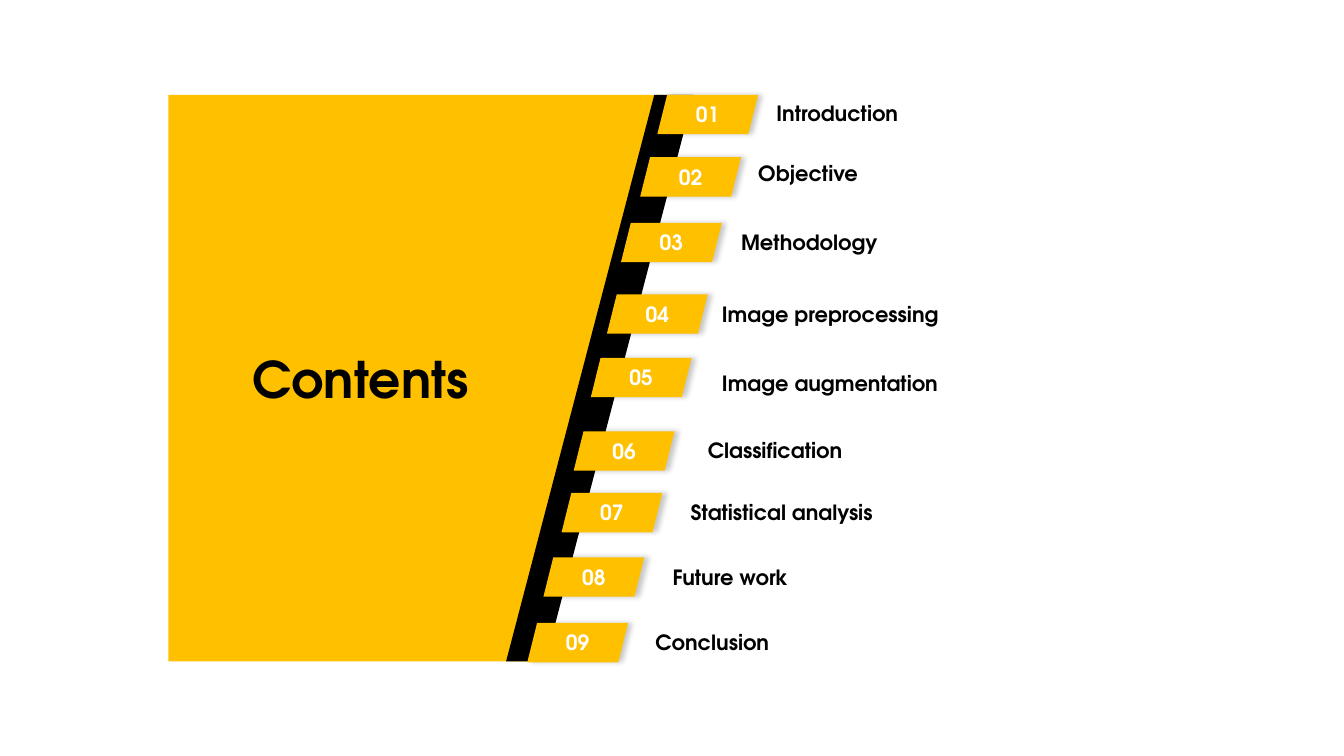
from lxml.etree import SubElement
from pptx import Presentation
from pptx.dml.color import RGBColor
from pptx.enum.shapes import MSO_SHAPE
from pptx.enum.text import MSO_ANCHOR, MSO_AUTO_SIZE as AutoSize, PP_ALIGN
from pptx.oxml.ns import qn
from pptx.util import Inches, Pt

COLORS = {"amber": "FFC000", "black": "000000", "white": "FFFFFF"}
FONT = "TeX Gyre Adventor"
FRAME = {"margin_left": 0, "margin_top": 0, "margin_right": 0, "margin_bottom": 0,
         "word_wrap": True}
SLANT = 1.47
BADGE_SIZE = (1, 0.39)
LABEL_HEIGHT = 0.25

# Topic, badge left and top, label left, top and width
TOPICS = [
    ("Introduction", 6.52, 0.94, 7.7, 1, 3.98),
    ("Objective", 6.35, 1.56, 7.52, 1.59, 4.17),
    ("Methodology", 6.16, 2.21, 7.35, 2.28, 3.83),
    ("Image preprocessing", 6.02, 2.92, 7.16, 2.99, 3.83),
    ("Image augmentation", 5.86, 3.55, 7.16, 3.68, 4.29),
    ("Classification", 5.69, 4.28, 7.02, 4.34, 2.55),
    ("Statistical analysis", 5.57, 4.89, 6.85, 4.96, 2.55),
    ("Future work", 5.39, 5.53, 6.67, 5.6, 2.55),
    ("Conclusion", 5.23, 6.18, 6.5, 6.24, 2.98),
]


def rgb(name):
    return RGBColor.from_string(COLORS[name])


def paint(shape, color):
    shape.fill.solid()
    shape.fill.fore_color.rgb = rgb(color)
    shape.line.fill.background()
    shape.shadow.inherit = False


def write(shape, text, size, color, align, **frame_format):
    frame = shape.text_frame
    for name, value in {**FRAME, **frame_format}.items():
        setattr(frame, name, value)
    paragraph = frame.paragraphs[0]
    paragraph.alignment = align
    paragraph.line_spacing = 1.0
    run = paragraph.add_run()
    run.text = text
    for name, value in {"name": FONT, "size": Pt(size), "bold": True}.items():
        setattr(run.font, name, value)
    run.font.color.rgb = rgb(color)


def add_slanted(slide, box, top_left, bottom_left, color):
    """Fill the box with an outline whose right edge leans by SLANT."""
    left, top, width, height = box
    right, bottom = left + width, top + height
    corners = [(left + top_left, top), (right, top),
               (right - SLANT, bottom), (left + bottom_left, bottom)]
    points = [(Inches(x), Inches(y)) for x, y in corners]
    builder = slide.shapes.build_freeform(*points[0], scale=1.0)
    builder.add_line_segments(points[1:], close=True)
    paint(builder.convert_to_shape(), color)


def add_title_panel(slide, box):
    left, top, width, height = box
    add_slanted(slide, box, 0, 0, "amber")
    add_slanted(slide, (left + 3.35, top, 1.86, height), SLANT, 0, "black")

    # Title stands in front of the panel
    title = slide.shapes.title
    title.element.getparent().append(title.element)
    title.left, title.top = Inches(left + 0.63), Inches(top + 2.51)
    title.width, title.height = Inches(2.55), Inches(0.61)
    write(title, "Contents", 36, "black", PP_ALIGN.CENTER,
          vertical_anchor=MSO_ANCHOR.TOP, auto_size=AutoSize.SHAPE_TO_FIT_TEXT)


def add_soft_shadow(shape):
    effects = shape.element.spPr.find(qn("a:effectLst"))
    shadow = SubElement(effects, qn("a:outerShdw"), blurRad=str(Pt(4)),
                        dist=str(Pt(3)), dir="0", algn="l", rotWithShape="0")
    tint = SubElement(shadow, qn("a:srgbClr"), val=COLORS["black"])
    SubElement(tint, qn("a:alpha"), val="21000")


def add_badge(slide, box, number):
    badge = slide.shapes.add_shape(MSO_SHAPE.PARALLELOGRAM, *map(Inches, box))
    paint(badge, "amber")
    add_soft_shadow(badge)
    write(badge, f"{number:02}", 15, "white", PP_ALIGN.CENTER,
          vertical_anchor=MSO_ANCHOR.MIDDLE)


def add_label(slide, box, topic):
    label = slide.shapes.add_textbox(*map(Inches, box))
    write(label, topic, 15, "black", PP_ALIGN.LEFT,
          auto_size=AutoSize.SHAPE_TO_FIT_TEXT)


def main():
    deck = Presentation()
    deck.slide_width, deck.slide_height = Inches(13.33), Inches(7.5)
    slide = deck.slides.add_slide(deck.slide_layouts[5])
    add_title_panel(slide, (1.67, 0.94, 5.13, 5.62))

    # Numbered topics along the slanted edge
    for number, (topic, badge_x, badge_y, label_x, label_y, width) in enumerate(TOPICS, 1):
        add_badge(slide, (badge_x, badge_y, *BADGE_SIZE), number)
        add_label(slide, (label_x, label_y, width, LABEL_HEIGHT), topic)
    deck.save("out.pptx")


if __name__ == "__main__":
    main()
